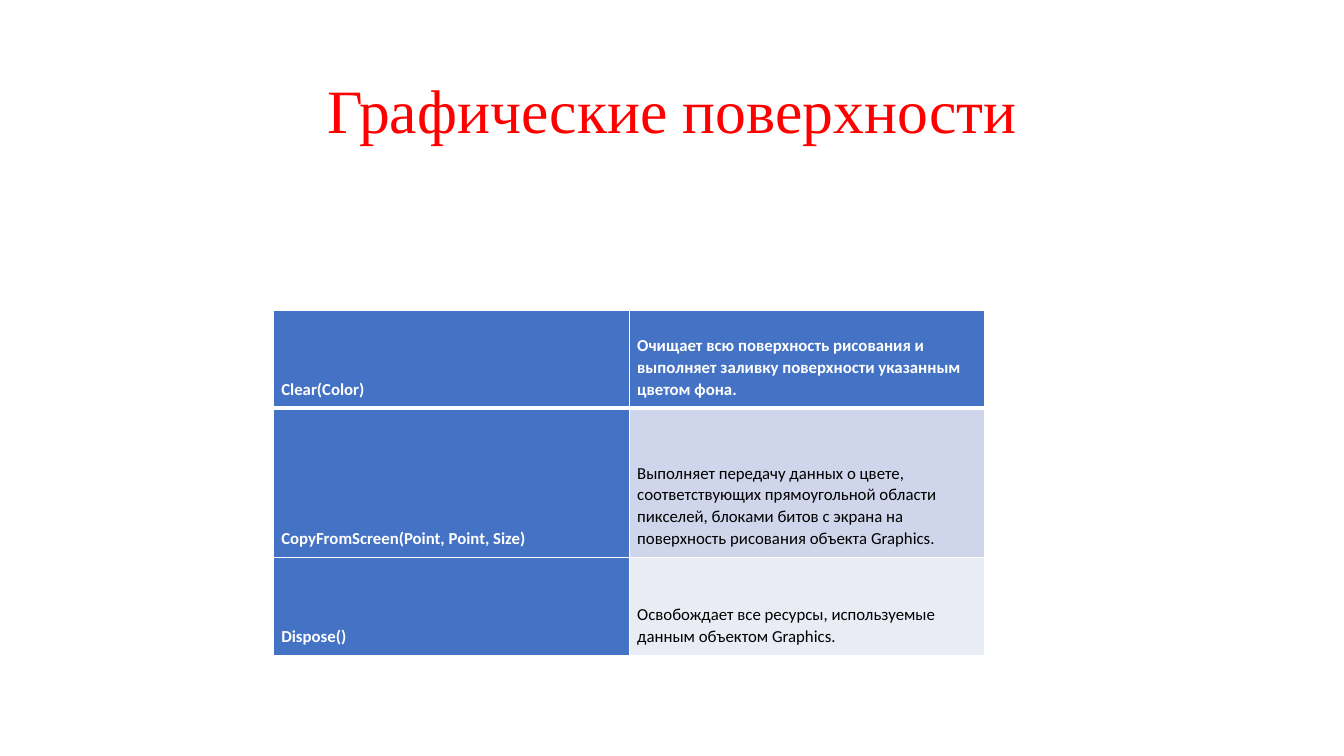
"""Build a slide with a table of drawing surface methods."""
from lxml import etree
from pptx import Presentation
from pptx.dml.color import RGBColor
from pptx.enum import text
from pptx.oxml import ns
from pptx.util import Inches, Pt


def color(hex_value):
    return RGBColor.from_string(hex_value)


def add_border(cell, index, side, width):
    ln = etree.Element(ns.qn(f"a:{side}"), w=str(Pt(width)))
    fill = etree.SubElement(ln, ns.qn("a:solidFill"))
    etree.SubElement(fill, ns.qn("a:srgbClr"), val="FFFFFF")
    cell._tc.get_or_add_tcPr().insert(index, ln)


prs = Presentation()
prs.slide_width = Inches(13.33)
prs.slide_height = Inches(7.5)
s = prs.slides.add_slide(prs.slide_layouts[5])

title = s.shapes.title
title.left, title.top = Inches(0.92), Inches(0.4)
title.width, title.height = Inches(11.5), Inches(1.45)
tf = title.text_frame
tf.word_wrap = True
tf.vertical_anchor = text.MSO_ANCHOR.MIDDLE
p = tf.paragraphs[0]
p.alignment = text.PP_ALIGN.CENTER
p.line_spacing = 0.9
r = p.add_run()
r.text = "Графические поверхности"
r.font.name = "Times New Roman"
r.font.size = Pt(44)
r.font.color.rgb = color("FF0000")

methods = [
    ("Clear(Color)",
     "Очищает всю поверхность рисования и выполняет заливку поверхности "
     "указанным цветом фона.", 0.97, "4472C4"),
    ("CopyFromScreen(Point, Point, Size)",
     "Выполняет передачу данных о цвете, соответствующих прямоугольной области "
     "пикселей, блоками битов с экрана на поверхность рисования объекта Graphics.",
     1.48, "CFD5EA"),
    ("Dispose()",
     "Освобождает все ресурсы, используемые данным объектом Graphics.",
     0.97, "E9EBF5"),
]

table = s.shapes.add_table(len(methods), 2, Inches(2.71), Inches(3.08),
                           Inches(7.06), Inches(3.42)).table
table.first_col = True
for column in table.columns:
    column.width = Inches(3.53)

for row, (method, description, height, shade) in enumerate(methods):
    table.rows[row].height = Inches(height)
    for col, (words, fill) in enumerate([(method, "4472C4"), (description, shade)]):
        heading = row == 0 or col == 0
        cell = table.cell(row, col)
        cell.fill.solid()
        cell.fill.fore_color.rgb = color(fill)
        cell.vertical_anchor = text.MSO_ANCHOR.BOTTOM
        cell.margin_left = cell.margin_right = Inches(0.08)
        cell.margin_top = cell.margin_bottom = Inches(0.08)
        widths = {"lnL": 1, "lnR": 1, "lnT": 3 if row == 1 else 1,
                  "lnB": 3 if row == 0 else 1}
        for index, (side, width) in enumerate(widths.items()):
            add_border(cell, index, side, width)
        p = cell.text_frame.paragraphs[0]
        p.line_spacing = 1.07
        r = p.add_run()
        r.text = words
        r.font.name = "Calibri"
        r.font.size = Pt(12)
        r.font.bold = heading
        r.font.color.rgb = color("FFFFFF" if heading else "000000")

prs.save("out.pptx")
